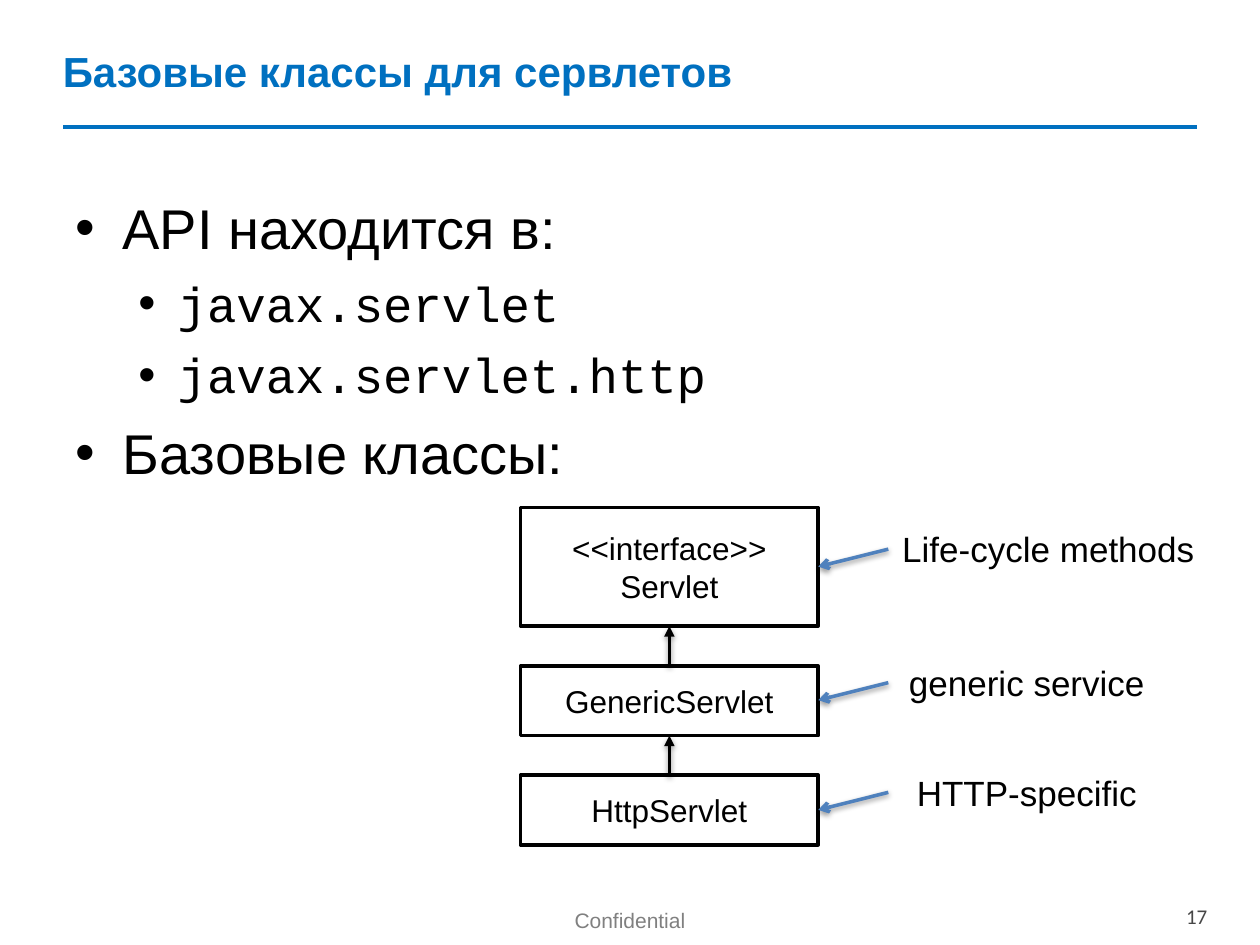
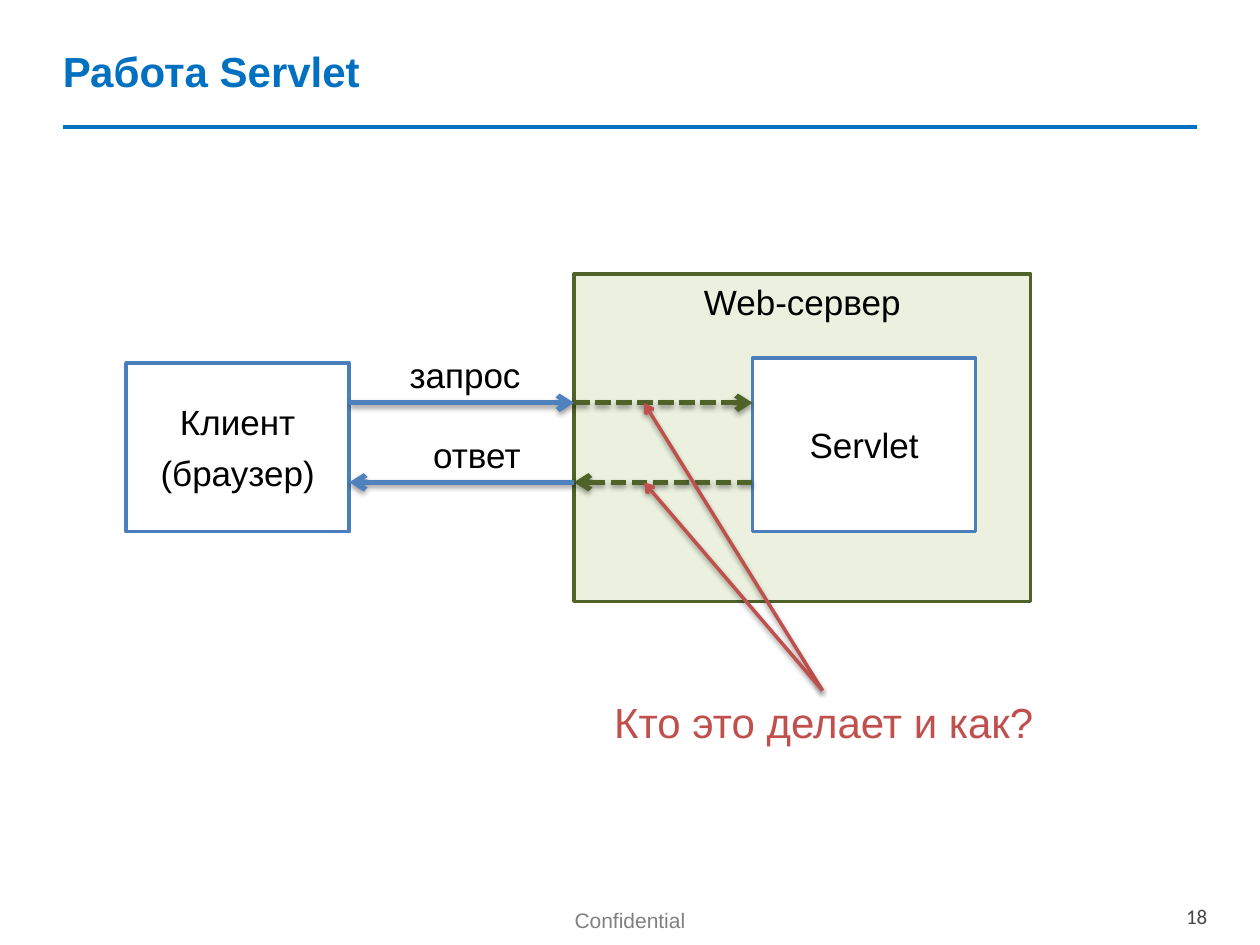
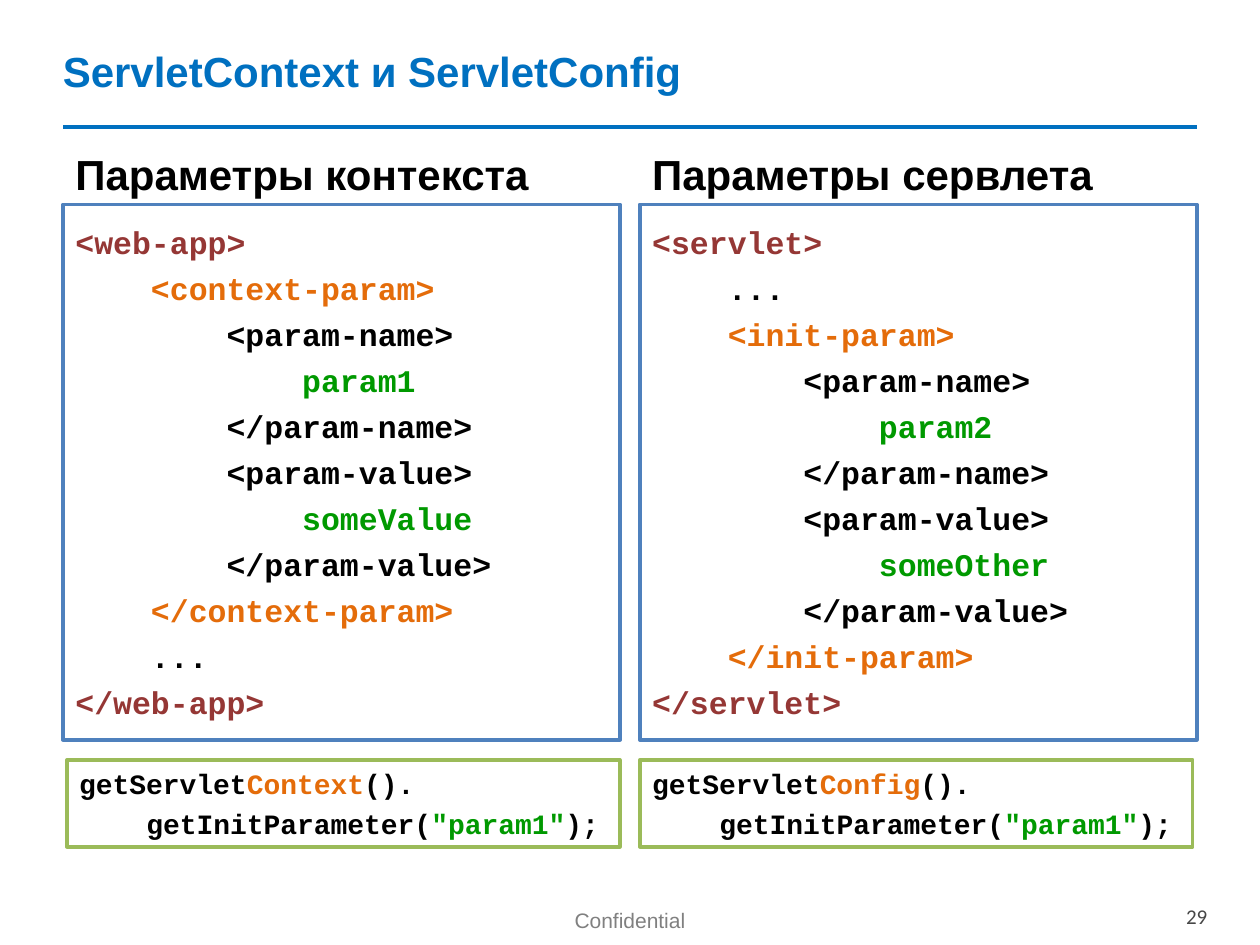
from dataclasses import dataclass

import lxml.etree
import pptx
import pptx.dml.color
import pptx.enum.dml
import pptx.enum.shapes
import pptx.enum.text
import pptx.oxml
import pptx.oxml.ns
import pptx.util

Pt = pptx.util.Pt
qn = pptx.oxml.ns.qn
ALIGN = pptx.enum.text.PP_ALIGN
ANCHOR = pptx.enum.text.MSO_ANCHOR


@dataclass(frozen=True)
class Theme:
    sans: str = "Arial"
    mono: str = "Courier New"
    number_font: str = "Calibri"
    black: str = "000000"
    white: str = "FFFFFF"
    title: str = "0070C0"
    footer: str = "808080"
    number: str = "474747"
    blue: str = "4F81BD"
    frame: str = "4B7EBC"
    server: str = "4F6228"
    server_fill: str = "EBF1DE"
    question: str = "C0504D"
    call: str = "9BBB59"
    root_tag: str = "953735"
    param_tag: str = "E46C0A"
    value: str = "009900"
    body_size: int = 32
    sub_size: int = 28
    title_size: int = 24
    label_size: int = 20
    box_size: int = 18
    call_size: int = 16
    footer_size: int = 12
    line: float = 2
    thick: float = 3
    gap: float = 0.26
    char_width: float = 0.6
    code_step: int = 4


class Deck:
    def __init__(self, theme):
        self.theme = theme
        self.show = pptx.Presentation()
        self.show.slide_width, self.show.slide_height = Pt(720), Pt(540)
        self.slide = None

    def color(self, code):
        return pptx.dml.color.RGBColor.from_string(code)

    def new_slide(self, title, number):
        theme = self.theme
        self.slide = self.show.slides.add_slide(self.show.slide_layouts[6])
        self.line((36, 72.7), (684, 72.7), theme.title)
        self.text(28.8, 1.4, 669, 77.8, [title], theme.title_size,
                  theme.title, bold=True, align=ALIGN.LEFT, anchor=ANCHOR.MIDDLE)
        footer = self.text(283.7, 513.4, 152.6, 28, ["Confidential"],
                           theme.footer_size, theme.footer)
        page = self.text(633, 511.2, 64, 19.4, [number], theme.footer_size,
                         theme.number, font=theme.number_font, align=ALIGN.RIGHT)
        for frame in (footer, page):
            frame.margin_top = Pt(5)

    def paragraph(self, frame, content, size, color, font=None, bold=False,
                  align=ALIGN.LEFT, margin=0, hanging=0):
        theme = self.theme
        first = not frame.text
        line = frame.paragraphs[0] if first else frame.add_paragraph()
        props = line._p.get_or_add_pPr()
        props.set("marL", str(Pt(margin)))
        props.set("indent", str(-Pt(hanging)))
        if hanging:
            lxml.etree.SubElement(props, qn("a:buFont"), typeface=theme.sans)
            lxml.etree.SubElement(props, qn("a:buChar"), char="•")
        line.alignment = align
        line.space_before = Pt(0 if first else round(size * theme.gap, 2))
        line.font.size = Pt(size)
        line.font.name = font or theme.sans
        line.font.bold = bold
        if isinstance(content, str):
            line.font.color.rgb = self.color(color)
            line.add_run().text = content
        else:
            for words, tint in content:
                run = line.add_run()
                run.text = words
                run.font.color.rgb = self.color(tint)
        return line

    def text(self, x, y, w, h, lines, size, color, font=None, bold=False,
             align=ALIGN.CENTER, anchor=ANCHOR.TOP, wrap=True):
        holder = self.slide.shapes.add_textbox(Pt(x), Pt(y), Pt(w), Pt(h))
        frame = holder.text_frame
        frame.word_wrap = wrap
        frame.vertical_anchor = anchor
        for content in lines:
            self.paragraph(frame, content, size, color, font, bold, align)
        return frame

    def label(self, x, y, w, words, size=None, color=None, align=ALIGN.CENTER):
        theme = self.theme
        return self.text(x, y, w, 31.5, [words], size or theme.label_size,
                         color or theme.black, align=align, wrap=False)

    def box(self, x, y, w, h, outline, fill=None, lines=(), size=None,
            anchor=ANCHOR.MIDDLE):
        theme = self.theme
        shape = self.slide.shapes.add_shape(
            pptx.enum.shapes.MSO_SHAPE.RECTANGLE, Pt(x), Pt(y), Pt(w), Pt(h))
        shape.shadow.inherit = False
        if fill:
            shape.fill.solid()
            shape.fill.fore_color.rgb = self.color(fill)
        else:
            shape.fill.background()
        shape.line.color.rgb = self.color(outline)
        shape.line.width = Pt(theme.line)
        frame = shape.text_frame
        frame.word_wrap = True
        frame.vertical_anchor = anchor
        for content in lines:
            self.paragraph(frame, content, size, theme.black, align=ALIGN.CENTER)
        return frame

    def line(self, start, end, color, width=None):
        link = self.slide.shapes.add_connector(
            pptx.enum.shapes.MSO_CONNECTOR.STRAIGHT,
            Pt(start[0]), Pt(start[1]), Pt(end[0]), Pt(end[1]))
        link.line.color.rgb = self.color(color)
        link.line.width = Pt(width or self.theme.line)
        lxml.etree.SubElement(link._element.spPr, qn("a:effectLst"))
        return link

    def arrow(self, start, end, color, width=None, head="arrow", dashed=False):
        link = self.line(start, end, color, width)
        if dashed:
            link.line.dash_style = pptx.enum.dml.MSO_LINE.SQUARE_DOT
        props = link._element.spPr
        lxml.etree.SubElement(props.find(qn("a:ln")), qn("a:tailEnd"), type=head)
        shadow = lxml.etree.SubElement(
            props.find(qn("a:effectLst")), qn("a:outerShdw"), blurRad=str(Pt(3.1)),
            dist=str(Pt(1.6)), dir="5400000", rotWithShape="0")
        tint = lxml.etree.SubElement(shadow, qn("a:srgbClr"), val=self.theme.black)
        lxml.etree.SubElement(tint, qn("a:alpha"), val="38000")

    def code(self, x, y, w, h, outline, lines, size, anchor=ANCHOR.MIDDLE):
        theme = self.theme
        frame = self.box(x, y, w, h, outline, theme.white, anchor=anchor)
        step = size * theme.char_width * theme.code_step
        for depth, content, color in lines:
            self.paragraph(frame, content, size, color, theme.mono, True,
                           margin=round(depth * step, 2))


theme = Theme()
deck = Deck(theme)

deck.new_slide("Базовые классы для сервлетов", "17")
outline = deck.text(36, 90, 648, 208, [], theme.body_size, theme.black,
                    anchor=ANCHOR.MIDDLE)
for words, nested in [("API находится в:", False), ("javax.servlet", True),
                      ("javax.servlet.http", True), ("Базовые классы:", False)]:
    if nested:
        deck.paragraph(outline, words, theme.sub_size, theme.black, theme.mono,
                       margin=58.5, hanging=22.5)
    else:
        deck.paragraph(outline, words, theme.body_size, theme.black,
                       margin=27, hanging=27)

class_x, class_w = 297.4, 170.2
class_mid, class_right = class_x + class_w / 2, class_x + class_w
classes = [
    (290, 67.8, ["<<interface>>", "Servlet"], "Life-cycle methods", 313.8, 183),
    (380.6, 39.8, ["GenericServlet"], "generic service", 390.1, 158.4),
    (443, 39.8, ["HttpServlet"], "HTTP-specific", 452.8, 158.4),
]
previous_bottom = None
for top, height, names, role, arrow_y, role_w in classes:
    frame = deck.box(class_x, top, class_w, height, theme.black, theme.white,
                     names, theme.box_size)
    for line in frame.paragraphs:
        line.space_before = Pt(0)
    if previous_bottom:
        deck.arrow((class_mid, top), (class_mid, previous_bottom), theme.black,
                   head="triangle")
    deck.arrow((507.6, arrow_y), (class_right, arrow_y + 10), theme.blue)
    deck.label(507.6, arrow_y - 15.7, role_w, role)
    previous_bottom = top + height

deck.new_slide("Работа Servlet", "18")
client_right, server_x, servlet_x = 199.6, 328, 430
request_y, answer_y = 230.2, 275.6
deck.box(72, 207.4, 127.6, 96.4, theme.frame, None, ["Клиент", "(браузер)"],
         theme.label_size)
deck.box(server_x, 156.6, 261, 187, theme.server, theme.server_fill,
         ["Web-сервер"], theme.label_size, ANCHOR.TOP)
deck.box(servlet_x, 204.6, 127.6, 99.2, theme.frame, theme.white, ["Servlet"],
         theme.label_size)
for y, words, label_x, label_w, outward in [
        (request_y, "запрос", 226, 78.6, True),
        (answer_y, "ответ", 239.8, 64.8, False)]:
    for left, right, color, dashed in [
            (server_x, servlet_x, theme.server, True),
            (client_right, server_x, theme.blue, False)]:
        ends = [(left, y), (right, y)]
        start, end = ends if outward else reversed(ends)
        deck.arrow(start, end, color, theme.thick, dashed=dashed)
    deck.label(label_x, y - 31.5, label_w, words, align=ALIGN.RIGHT)
for y in (request_y, answer_y):
    deck.arrow((470, 394.6), (368, y), theme.question)
deck.label(341.6, 394.6, 256, "Кто это делает и как?", theme.title_size,
           theme.question, ALIGN.RIGHT)


def param_lines(tag, name, value):
    lines = [(1, f"<{tag}>", theme.param_tag)]
    for part, content in (("param-name", name), ("param-value", value)):
        lines += [(2, f"<{part}>", theme.black), (3, content, theme.value),
                  (2, f"</{part}>", theme.black)]
    return lines + [(1, f"</{tag}>", theme.param_tag)]


deck.new_slide("ServletContext и ServletConfig", "29")
dots = [(1, "...", theme.black)]
columns = [
    (36, 38.2, "Параметры контекста", "web-app", "Context",
     param_lines("context-param", "param1", "someValue") + dots),
    (365.6, 365.6, "Параметры сервлета", "servlet", "Config",
     dots + param_lines("init-param", "param2", "someOther")),
]
for x, call_x, heading, root, source, inner in columns:
    deck.text(x, 84.2, 318.4, 33, [heading], theme.title_size, theme.black,
              bold=True, align=ALIGN.LEFT, anchor=ANCHOR.BOTTOM)
    markup = [(0, f"<{root}>", theme.root_tag), *inner,
              (0, f"</{root}>", theme.root_tag)]
    deck.code(x, 116.8, 318.4, 306, theme.blue, markup, theme.box_size)
    call = [
        (0, [("getServlet", theme.black), (source, theme.param_tag),
             ("().", theme.black)], None),
        (1, [("getInitParameter(", theme.black), ('"param1"', theme.value),
             (");", theme.black)], None),
    ]
    deck.code(call_x, 434.2, 316, 49.7, theme.call, call, theme.call_size, ANCHOR.TOP)

deck.show.save("out.pptx")
